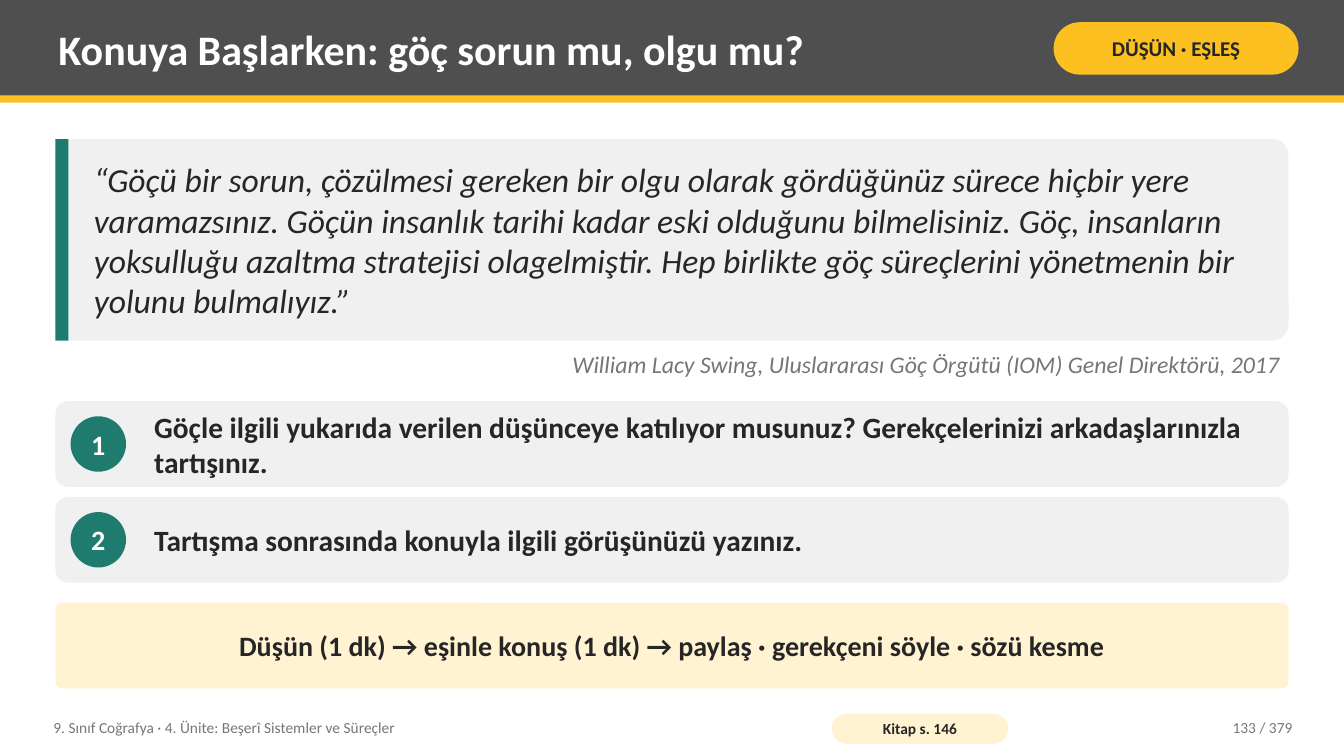
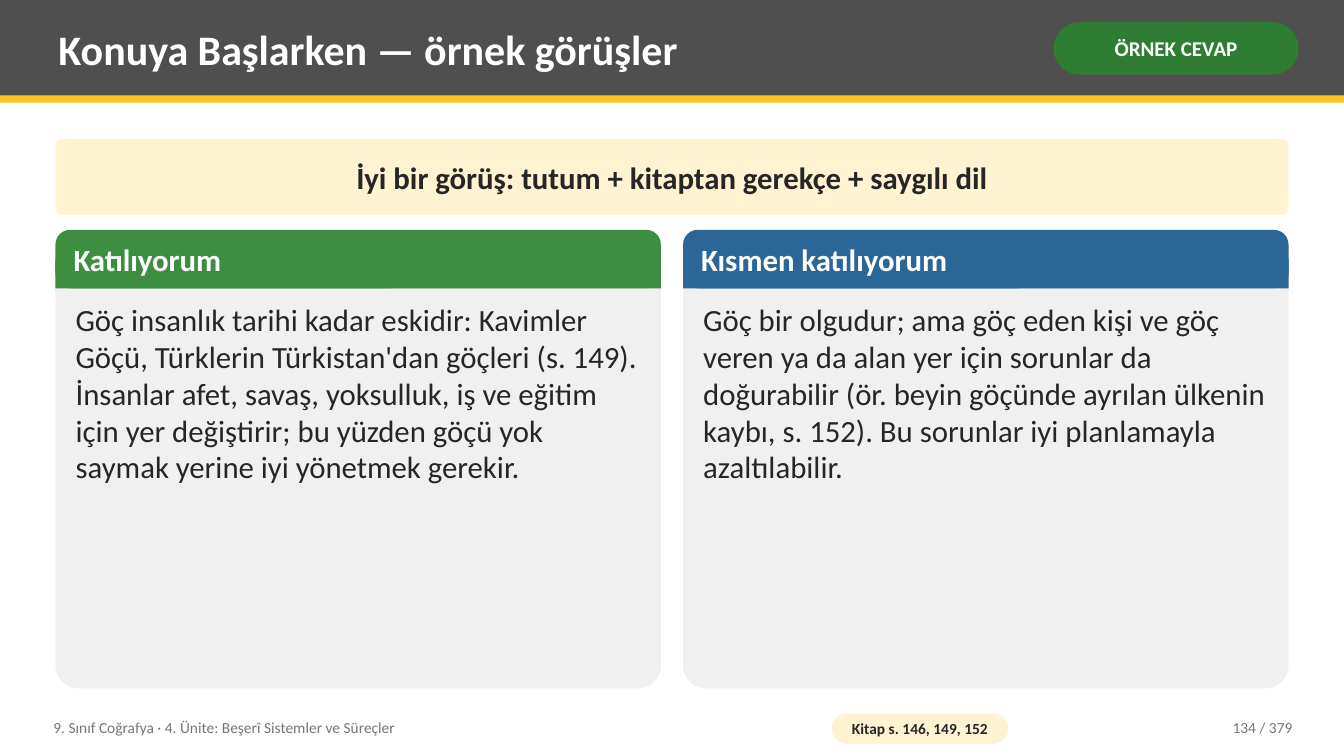
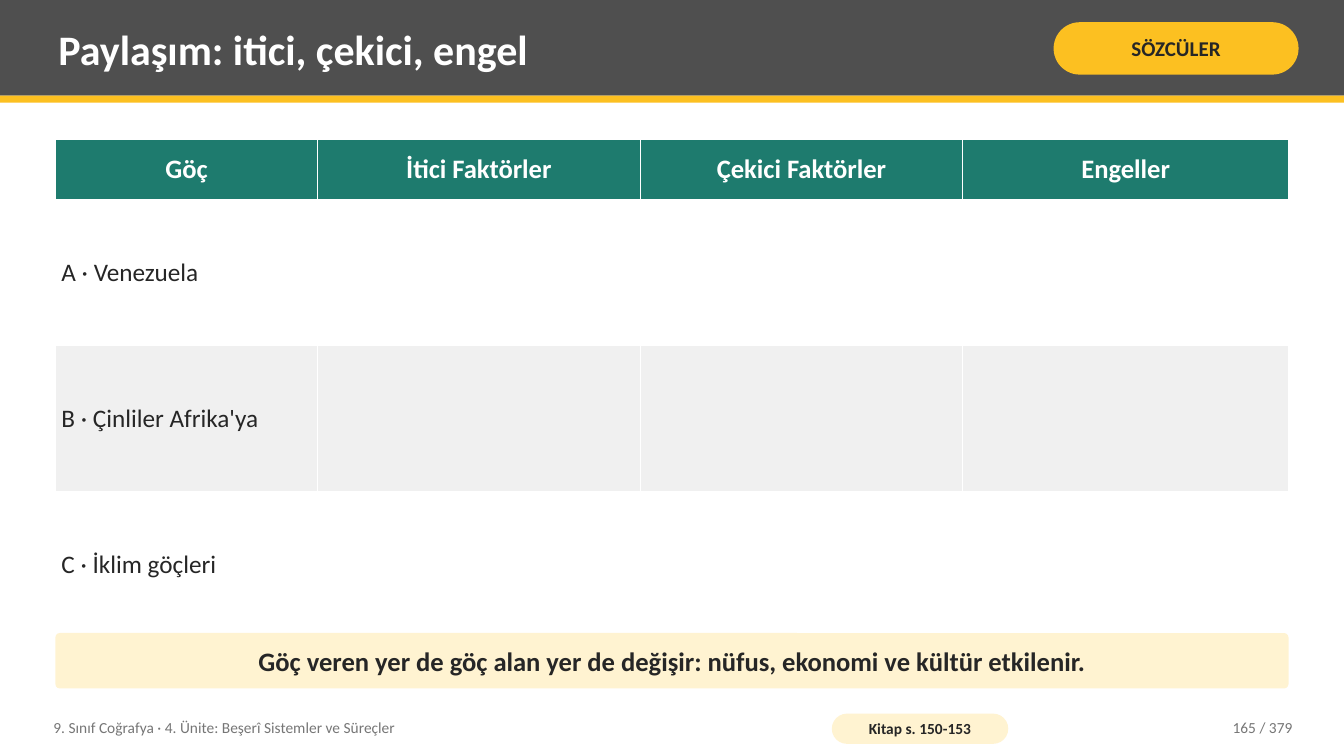
"""Builds three geography lesson slides on migration."""
from lxml import etree
from pptx import Presentation
from pptx.dml.color import RGBColor
from pptx.enum.shapes import MSO_SHAPE as SHAPE
from pptx.enum.text import MSO_ANCHOR as ANCHOR, PP_ALIGN as ALIGN
from pptx.oxml.ns import qn
from pptx.util import Inches, Pt

COLORS = {
    "white": "FFFFFF", "ink": "262626", "muted": "767676", "header": "4F4F4F",
    "amber": "FCC021", "cream": "FFF3D1", "panel": "F0F0F0", "teal": "1E7B6E",
    "answer": "2E7D32", "green": "3E8E41", "blue": "2C6696",
}
FONT = "Calibri"
WIDTH, HEIGHT = 13.33, 7.5
LEFT, TOP, CONTENT_W, BOTTOM = 0.55, 1.38, 12.23, 6.83
TEXT_INSETS = (0.08, 0.04)
COURSE = "9. Sınıf Coğrafya · 4. Ünite: Beşerî Sistemler ve Süreçler"
TOTAL = 379


def color(name):
    return RGBColor.from_string(COLORS[name])


def write(tf, text, size, ink="ink", bold=False, italic=False, align=ALIGN.LEFT,
          anchor=ANCHOR.MIDDLE, insets=TEXT_INSETS, wrap=True):
    tf.margin_left = tf.margin_right = Inches(insets[0])
    tf.margin_top = tf.margin_bottom = Inches(insets[1])
    tf.word_wrap = wrap
    tf.vertical_anchor = anchor
    p = tf.paragraphs[0]
    p.text = text
    p.alignment = align
    format_runs(p, size, ink, bold, italic)


def format_runs(p, size, ink, bold=False, italic=False):
    for r in p.runs:
        r.font.name = FONT
        r.font.size = Pt(size)
        r.font.bold = bold
        r.font.italic = italic
        r.font.color.rgb = color(ink)


def add_text(s, box, text, size, **style):
    tb = s.shapes.add_textbox(*map(Inches, box))
    write(tb.text_frame, text, size, **style)


def add_block(s, box, fill, kind=SHAPE.RECTANGLE, radius=None):
    sp = s.shapes.add_shape(kind, *map(Inches, box))
    sp.shadow.inherit = False
    sp.fill.solid()
    sp.fill.fore_color.rgb = color(fill)
    sp.line.fill.background()
    if radius is not None:
        sp.adjustments[0] = radius
    return sp


def add_rounded(s, box, fill, radius):
    return add_block(s, box, fill, SHAPE.ROUNDED_RECTANGLE, radius)


def add_pill(s, box, text, size, fill, ink, insets):
    sp = add_rounded(s, box, fill, 0.5)
    write(sp.text_frame, text, size, ink=ink, bold=True, align=ALIGN.CENTER, insets=insets)


def add_callout(s, top, height, text, size):
    sp = add_rounded(s, (LEFT, top, CONTENT_W, height), "cream", 0.08)
    write(sp.text_frame, text, size, bold=True, align=ALIGN.CENTER, insets=(0.14, 0.08))


def add_quote(s, top, height, quote, source):
    add_rounded(s, (LEFT, top, CONTENT_W, height), "panel", 0.08)
    add_block(s, (LEFT, top, 0.13, height), "teal")
    add_text(s, (LEFT + 0.3, top, CONTENT_W - 0.45, height), quote, 24, italic=True)
    add_text(s, (LEFT, top + height + 0.05, CONTENT_W, 0.4), source, 17, ink="muted",
             italic=True, align=ALIGN.RIGHT, anchor=ANCHOR.TOP)


def add_question(s, top, number, text):
    height, dot = 0.85, 0.55
    add_rounded(s, (LEFT, top, CONTENT_W, height), "panel", 0.15)
    badge = add_block(s, (LEFT + 0.15, top + (height - dot) / 2, dot, dot), "teal", SHAPE.OVAL)
    write(badge.text_frame, str(number), 20, ink="white", bold=True, align=ALIGN.CENTER,
          insets=(0, 0), wrap=False)
    add_text(s, (LEFT + 0.9, top, CONTENT_W - 1, height), text, 21, bold=True)


def add_card(s, box, fill, heading, body):
    left, top, width, height = box
    head = 0.58
    add_rounded(s, box, "panel", 0.05)
    add_rounded(s, (left, top, width, head), fill, 0.25)
    add_block(s, (left, top + head / 2, width, head / 2), fill)
    add_text(s, (left + 0.1, top, width - 0.2, head), heading, 22, ink="white", bold=True)
    add_text(s, (left + 0.12, top + head + 0.08, width - 0.24, height - head - 0.16),
             body, 22, anchor=ANCHOR.TOP)


def add_borders(cell):
    props = cell._tc.get_or_add_tcPr()
    for i, side in enumerate(("a:lnL", "a:lnR", "a:lnT", "a:lnB")):
        ln = etree.Element(qn(side), w=str(Pt(0.96)))
        fill = etree.SubElement(ln, qn("a:solidFill"))
        etree.SubElement(fill, qn("a:srgbClr"), val=COLORS["white"])
        props.insert(i, ln)


def fill_cell(cell, text, fill, size, ink, bold, align):
    cell.margin_left = cell.margin_right = Inches(0.06)
    cell.margin_top = cell.margin_bottom = Inches(0.05)
    cell.vertical_anchor = ANCHOR.MIDDLE
    cell.fill.solid()
    cell.fill.fore_color.rgb = color(fill)
    add_borders(cell)
    p = cell.text_frame.paragraphs[0]
    p.text = text
    p.alignment = align
    format_runs(p, size, ink, bold)


def add_worksheet(s, headings, labels, col_widths, row_heights):
    box = (LEFT, TOP, sum(col_widths), sum(row_heights))
    table = s.shapes.add_table(len(row_heights), len(col_widths), *map(Inches, box)).table
    for col, width in zip(table.columns, col_widths):
        col.width = Inches(width)
    for row, height in zip(table.rows, row_heights):
        row.height = Inches(height)
    for c, heading in enumerate(headings):
        fill_cell(table.cell(0, c), heading, "teal", 19, "white", True, ALIGN.CENTER)
    for r, label in enumerate(labels, 1):
        for c in range(len(headings)):
            fill_cell(table.cell(r, c), "" if c else label, "white" if r % 2 else "panel",
                      18, "ink", False, ALIGN.LEFT)


def add_slide(prs, title, tag, pages, number, tag_fill="amber", tag_ink="ink"):
    s = prs.slides.add_slide(prs.slide_layouts[6])
    add_block(s, (0, 0, WIDTH, 0.95), "header")
    add_block(s, (0, 0.95, WIDTH, 0.07), "amber")
    add_text(s, (0.5, 0.07, 9.75, 0.82), title, 30, ink="white", bold=True)
    add_pill(s, (10.45, 0.22, 2.43, 0.52), tag, 15, tag_fill, tag_ink, (0.05, 0.02))
    add_text(s, (0.45, 7.04, 7.6, 0.36), COURSE, 11, ink="muted")
    add_pill(s, (8.25, 7.08, 1.75, 0.3), f"Kitap s. {pages}", 11, "cream", "ink", (0.04, 0))
    add_text(s, (11.3, 7.04, 1.6, 0.36), f"{number} / {TOTAL}", 11, ink="muted",
             align=ALIGN.RIGHT)
    return s


def build_discussion(prs):
    s = add_slide(prs, "Konuya Başlarken: göç sorun mu, olgu mu?", "DÜŞÜN · EŞLEŞ", "146", 133)
    add_quote(s, TOP, 2,
              "“Göçü bir sorun, çözülmesi gereken bir olgu olarak gördüğünüz sürece hiçbir yere "
              "varamazsınız. Göçün insanlık tarihi kadar eski olduğunu bilmelisiniz. Göç, "
              "insanların yoksulluğu azaltma stratejisi olagelmiştir. Hep birlikte göç "
              "süreçlerini yönetmenin bir yolunu bulmalıyız.”",
              "William Lacy Swing, Uluslararası Göç Örgütü (IOM) Genel Direktörü, 2017")
    questions = (
        "Göçle ilgili yukarıda verilen düşünceye katılıyor musunuz? Gerekçelerinizi "
        "arkadaşlarınızla tartışınız.",
        "Tartışma sonrasında konuyla ilgili görüşünüzü yazınız.",
    )
    for i, question in enumerate(questions):
        add_question(s, 3.98 + i * 0.95, i + 1, question)
    add_callout(s, BOTTOM - 0.85, 0.85,
                "Düşün (1 dk) → eşinle konuş (1 dk) → paylaş · gerekçeni söyle · sözü kesme", 20)


def build_opinions(prs):
    s = add_slide(prs, "Konuya Başlarken — örnek görüşler", "ÖRNEK CEVAP", "146, 149, 152", 134,
                  "answer", "white")
    add_callout(s, TOP, 0.75, "İyi bir görüş: tutum + kitaptan gerekçe + saygılı dil", 22)
    cards = (
        ("green", "Katılıyorum",
         "Göç insanlık tarihi kadar eskidir: Kavimler Göçü, Türklerin Türkistan'dan göçleri "
         "(s. 149). İnsanlar afet, savaş, yoksulluk, iş ve eğitim için yer değiştirir; bu "
         "yüzden göçü yok saymak yerine iyi yönetmek gerekir."),
        ("blue", "Kısmen katılıyorum",
         "Göç bir olgudur; ama göç eden kişi ve göç veren ya da alan yer için sorunlar da "
         "doğurabilir (ör. beyin göçünde ayrılan ülkenin kaybı, s. 152). Bu sorunlar iyi "
         "planlamayla azaltılabilir."),
    )
    top, gap = 2.28, 0.22
    width = (CONTENT_W - gap) / 2
    for i, card in enumerate(cards):
        add_card(s, (LEFT + i * (width + gap), top, width, BOTTOM - top), *card)


def build_sharing(prs):
    s = add_slide(prs, "Paylaşım: itici, çekici, engel", "SÖZCÜLER", "150-153", 165)
    add_worksheet(s, ("Göç", "İtici Faktörler", "Çekici Faktörler", "Engeller"),
                  ("A · Venezuela", "B · Çinliler Afrika'ya", "C · İklim göçleri"),
                  (2.6, 3.2, 3.2, 3.23), (0.6, 1.45, 1.45, 1.45))
    add_callout(s, BOTTOM - 0.55, 0.55,
                "Göç veren yer de göç alan yer de değişir: nüfus, ekonomi ve kültür etkilenir.", 19)


def main():
    prs = Presentation()
    prs.slide_width, prs.slide_height = Inches(WIDTH), Inches(HEIGHT)
    build_discussion(prs)
    build_opinions(prs)
    build_sharing(prs)
    prs.save("out.pptx")


if __name__ == "__main__":
    main()
